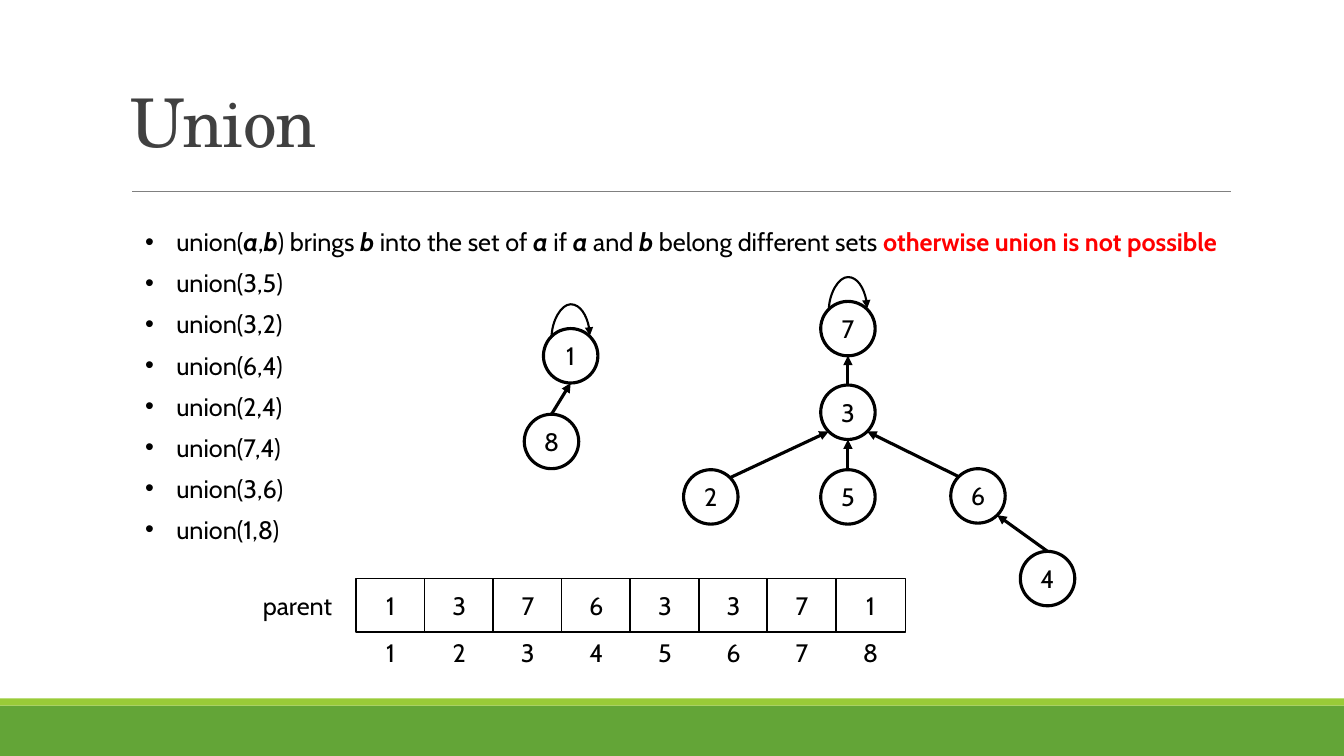
"""Build the slide on the union step of disjoint sets."""
import math
from pptx import Presentation
from pptx import util as u
from pptx.dml.color import RGBColor
from pptx.enum import shapes, text
from pptx.oxml import parse_xml
from pptx.oxml.ns import nsdecls, qn

BLACK = RGBColor(0, 0, 0)
WHITE = RGBColor(255, 255, 255)
RED = RGBColor(255, 0, 0)
DARK = RGBColor(0x40, 0x40, 0x40)
GRAY = RGBColor(0x80, 0x80, 0x80)
GREEN = RGBColor(0x63, 0xA5, 0x37)
LIME = RGBColor(0x99, 0xCB, 0x38)

BODY = "Cabin"
HEAD = "TeX Gyre Schola"
SIZE = 0.54
RULE = [("union(", ""), ("a", "bi"), (",", ""), ("b", "bi"), (") brings ", ""),
        ("b ", "bi"), ("into the set of ", ""), ("a ", "bi"), ("if ", ""),
        ("a ", "bi"), ("and ", ""), ("b", "bi"), (" belong different sets ", ""),
        ("otherwise union is not possible", "br")]
CALLS = ["3,5", "3,2", "6,4", "2,4", "7,4", "3,6", "1,8"]
NODES = {1: (5.66, 3.53), 2: (7.05, 4.93), 3: (8.41, 4.09), 4: (10.39, 5.74),
         5: (8.41, 4.93), 6: (9.7, 4.92), 7: (8.41, 3.26), 8: (5.47, 4.38)}
EDGES = [(8, 0, 1, 4), (3, 0, 7, 4), (2, 7, 3, 3),
         (5, 0, 3, 4), (6, 1, 3, 5), (4, 0, 6, 5)]
PARENT = [1, 3, 7, 6, 3, 3, 7, 1]


class Board:
    """Hold the slide and its style, and draw each kind of element."""

    def __init__(self, slide):
        self.items = slide.shapes
        self.font = BODY
        self.size = u.Pt(18)

    def style(self, run, mark=""):
        font = run.font
        font.name, font.size = self.font, self.size
        font.bold, font.italic = "b" in mark, "i" in mark
        font.color.rgb = RED if "r" in mark else BLACK

    def shape(self, kind, x, y, w, h, fill, line=0, label=""):
        item = self.items.add_shape(kind, *map(u.Inches, (x, y, w, h)))
        item.shadow.inherit = False
        item.fill.solid()
        item.fill.fore_color.rgb = fill
        if line:
            item.line.color.rgb = BLACK
            item.line.width = u.Pt(line)
        else:
            item.line.fill.background()
        if label:
            self.center(item.text_frame, label)

    def center(self, frame, label):
        frame.margin_left = frame.margin_right = 0
        frame.margin_top = frame.margin_bottom = 0
        frame.vertical_anchor = text.MSO_ANCHOR.MIDDLE
        frame.text = label
        para = frame.paragraphs[0]
        para.alignment = text.PP_ALIGN.CENTER
        self.style(para.runs[0])

    def box(self, x, y, w, h):
        frame = self.items.add_textbox(*map(u.Inches, (x, y, w, h))).text_frame
        frame.word_wrap = True
        return frame

    def label(self, x, y, w, h, words):
        self.center(self.box(x, y, w, h), words)

    def title(self, x, y, w, h, words):
        frame = self.box(x, y, w, h)
        frame.vertical_anchor = text.MSO_ANCHOR.BOTTOM
        frame.text = words
        para = frame.paragraphs[0]
        para.line_spacing = 0.85
        run = para.runs[0]
        run.font.name, run.font.size = HEAD, u.Pt(48)
        run.font.color.rgb = DARK
        run.font._element.set("spc", "-50")

    def bullets(self, x, y, w, h, rows):
        frame = self.box(x, y, w, h)
        for i, row in enumerate(rows):
            para = frame.add_paragraph() if i else frame.paragraphs[0]
            if i:
                para.space_before = u.Pt(7.7)
            props = para._p.get_or_add_pPr()
            props.set("marL", str(u.Inches(0.31)))
            props.set("indent", str(-u.Inches(0.31)))
            props.append(parse_xml(f'<a:buFont {nsdecls("a")} typeface="Arial"/>'))
            props.append(parse_xml(f'<a:buChar {nsdecls("a")} char="•"/>'))
            for words, mark in row:
                run = para.add_run()
                run.text = words
                self.style(run, mark)

    def line(self, start, end, color, width, arrow=True,
             kind=shapes.MSO_CONNECTOR.STRAIGHT):
        item = self.items.add_connector(kind, *map(u.Inches, (*start, *end)))
        item.line.color.rgb = color
        item.line.width = u.Pt(width)
        if arrow:
            item.line._get_or_add_ln().append(
                parse_xml(f'<a:tailEnd {nsdecls("a")} type="triangle"/>'))
        props = item._element.spPr
        props.append(parse_xml(f'<a:effectLst {nsdecls("a")}/>'))
        return props

    def loop(self, x, y):
        w, h, rise = 0.02, 0.38, 0.33
        mid = y - 0.19
        props = self.line((x + w / 2, mid + h / 2), (x - w / 2, mid - h / 2),
                          BLACK, 1.5, kind=shapes.MSO_CONNECTOR.CURVE)
        props.find(qn("a:xfrm")).set("rot", "5400000")
        geom = props.find(qn("a:prstGeom"))
        for old in list(geom):
            geom.remove(old)
        bend = round(rise / w * 100000)
        geom.append(parse_xml(f'<a:avLst {nsdecls("a")}>'
                              f'<a:gd name="adj1" fmla="val {bend}"/></a:avLst>'))


def rim(node, site):
    """Give the point on a node's rim, counting eighths leftward from the top."""
    x, y = NODES[node]
    turn = math.radians(45 * site)
    return x - SIZE / 2 * math.sin(turn), y - SIZE / 2 * math.cos(turn)


def main():
    """Draw the slide and save it."""
    deck = Presentation()
    deck.slide_width, deck.slide_height = u.Inches(13.33), u.Inches(7.5)
    board = Board(deck.slides.add_slide(deck.slide_layouts[6]))
    rect, oval = shapes.MSO_SHAPE.RECTANGLE, shapes.MSO_SHAPE.OVAL

    board.shape(rect, 0, 7, 13.33, 0.5, GREEN)
    board.shape(rect, 0, 6.93, 13.33, 0.07, LIME)
    board.line((1.31, 1.9), (12.21, 1.9), GRAY, 0.5, arrow=False)
    board.title(1.2, 0.06, 11, 1.59, "Union")
    calls = [[(f"union({pair})", "")] for pair in CALLS]
    board.bullets(1.34, 2.2, 11.48, 3.28, [RULE] + calls)

    for node, (x, y) in NODES.items():
        board.shape(oval, x - SIZE / 2, y - SIZE / 2, SIZE, SIZE, WHITE, 2.25, str(node))
    for root in (1, 7):
        board.loop(*NODES[root])
    for child, out, top, into in EDGES:
        board.line(rim(child, out), rim(top, into), BLACK, 2.25)

    board.label(2.49, 5.81, 0.92, 0.4, "parent")
    for i, top in enumerate(PARENT):
        x = 3.53 + 0.68 * i
        board.shape(rect, x, 5.74, 0.69, 0.53, WHITE, 1.25, str(top))
        board.label(x, 6.27, 0.69, 0.4, str(i + 1))
    deck.save("out.pptx")


if __name__ == "__main__":
    main()
